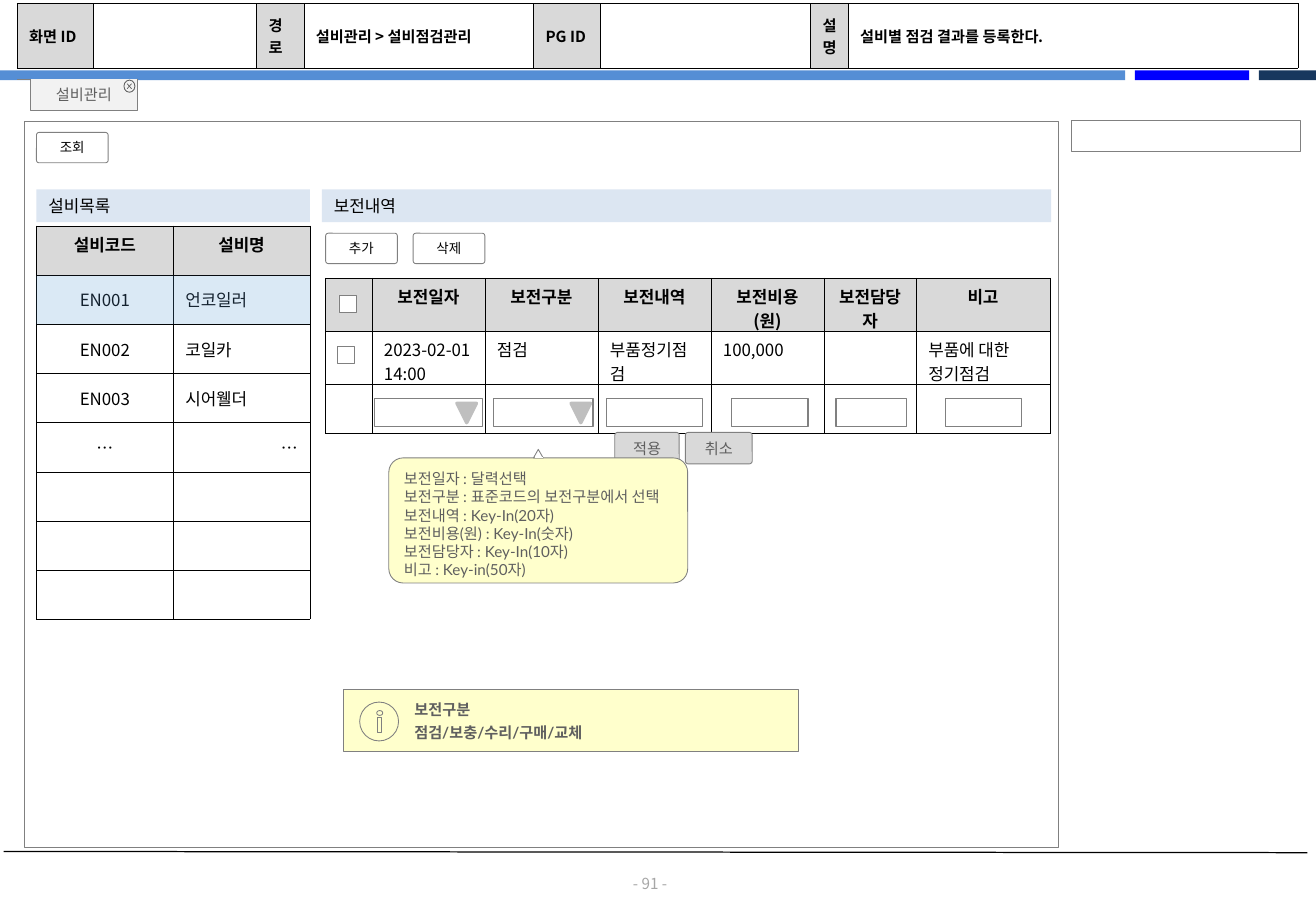
import pptx
import pptx.util
import pptx.oxml
import pptx.oxml.ns
from lxml import etree
from pptx.dml.color import RGBColor
from pptx.enum.shapes import MSO_CONNECTOR, MSO_SHAPE
from pptx.enum.text import MSO_ANCHOR, PP_ALIGN
from pptx.util import Inches, Pt

BLACK, WHITE = RGBColor(0, 0, 0), RGBColor(255, 255, 255)
GRAY, TEXT_GRAY = RGBColor(0x80, 0x80, 0x80), RGBColor(0x5F, 0x5F, 0x5F)
HEAD, TAB = RGBColor(0xD9, 0xD9, 0xD9), RGBColor(0xF2, 0xF2, 0xF2)
ARROW, PAGE = RGBColor(0xBF, 0xBF, 0xBF), RGBColor(0xA6, 0xA6, 0xA6)
SECTION, NOTE = RGBColor(0xDC, 0xE6, 0xF2), RGBColor(255, 255, 0xCC)
SELECTED = RGBColor(0x5B, 0x9B, 0xD5)
KR, LATO, ARIAL = "Noto Sans CJK KR", "Lato", "Arial"
RECT, ROUND, OVAL, TRIANGLE = (MSO_SHAPE.RECTANGLE, MSO_SHAPE.ROUNDED_RECTANGLE,
                               MSO_SHAPE.OVAL, MSO_SHAPE.ISOSCELES_TRIANGLE)
LEFT, CENTER, RIGHT = PP_ALIGN.LEFT, PP_ALIGN.CENTER, PP_ALIGN.RIGHT
TOP, MIDDLE = MSO_ANCHOR.TOP, MSO_ANCHOR.MIDDLE

# Content
BANDS = [(0, 9.26, RGBColor(0x55, 0x8E, 0xD5)), (9.34, 0.94, RGBColor(0, 0, 255)),
         (10.36, 0.47, RGBColor(0x17, 0x37, 0x5E))]
SCREEN_INFO = [["화면 ID", "", "경로", "설비관리 > 설비점검관리", "PG ID", "",
                "설명", "설비별 점검 결과를 등록한다."]]
SCREEN_COLS = [0.63, 1.34, 0.39, 1.89, 0.55, 1.73, 0.31, 3.7]
EQUIPMENT = [["설비코드", "설비명"], ["EN001", "언코일러"], ["EN002", "코일카"],
             ["EN003", "시어웰더"], ["…", "…"], ["", ""], ["", ""], ["", ""]]
MAINTENANCE = [
    ["", "보전일자", "보전구분", "보전내역", "보전비용(원)", "보전담당자", "비고"],
    ["", "2023-02-01 14:00", "점검", "부품정기점검", "100,000", "", "부품에 대한 정기점검"],
    [""] * 7]
MAINTENANCE_COLS = [0.38, 0.93, 0.93, 0.93, 0.93, 0.76, 1.1]
SECTIONS = [("설비목록", 0.3, 2.25), ("보전내역", 2.65, 6)]
BUTTONS = [("조회", 0.3, 1.09), ("추가", 2.68, 1.92), ("삭제", 3.4, 1.92)]
EDIT_BUTTONS = [("적용", 5.06, 0.53), ("취소", 5.64, 0.55)]
CHECKBOXES = [(2.79, 2.43), (2.78, 2.85)]
INPUTS = [(3.08, 0.89), (4.06, 0.82), (4.99, 0.79), (6.02, 0.63), (6.88, 0.58), (7.78, 0.63)]
DROPDOWN_ARROWS = [3.76, 4.7]
INPUT_RULES = ["보전일자 : 달력선택", "보전구분 : 표준코드의 보전구분에서 선택",
               "보전내역 : Key-In(20자)", "보전비용(원) : Key-In(숫자)",
               "보전담당자 : Key-In(10자)", "비고 : Key-in(50자)"]
TYPE_NOTE = ["보전구분", "점검/보충/수리/구매/교체"]

prs = pptx.Presentation()
prs.slide_width, prs.slide_height = Inches(10.83), Inches(7.5)
s = prs.slides.add_slide(prs.slide_layouts[6])


def style_paragraph(p, font, size, color, align=LEFT, bold=False):
    p.alignment = align
    p.font.name, p.font.size, p.font.bold = font, Pt(size), bold
    p.font.color.rgb = color


def style_shape(sp, fill, line, width):
    sp.shadow.inherit = False
    if fill is None:
        sp.fill.background()
    else:
        sp.fill.solid()
        sp.fill.fore_color.rgb = fill
    if line is None:
        sp.line.fill.background()
    else:
        sp.line.color.rgb = line
        sp.line.width = Pt(width)


def add_box(kind, x, y, w, h, fill=None, line=GRAY, width=0.5, round_by=None):
    sp = s.shapes.add_shape(kind, Inches(x), Inches(y), Inches(w), Inches(h))
    style_shape(sp, fill, line, width)
    if round_by is not None:
        sp.adjustments[0] = round_by
    return sp


def put_text(sp, lines, font, size, color, align=CENTER, anchor=MIDDLE,
             insets=(0.1, 0.05, 0.1, 0.05), bold=False, after=0):
    tf = sp.text_frame
    tf.word_wrap = True
    tf.vertical_anchor = anchor
    tf.margin_left, tf.margin_top, tf.margin_right, tf.margin_bottom = map(Inches, insets)
    for i, line in enumerate(lines):
        p = tf.add_paragraph() if i else tf.paragraphs[0]
        p.text = line
        p.space_after = Pt(after)
        style_paragraph(p, font, size, color, align, bold)


def add_line(x1, y1, x2, y2, color, width=0.5):
    c = s.shapes.add_connector(MSO_CONNECTOR.STRAIGHT, Inches(x1), Inches(y1),
                               Inches(x2), Inches(y2))
    c.line.color.rgb = color
    c.line.width = Pt(width)
    etree.SubElement(c._element.spPr, pptx.oxml.ns.qn("a:effectLst"))


def add_borders(cell):
    tc_pr = cell._tc.get_or_add_tcPr()
    for i, side in enumerate(("lnL", "lnR", "lnT", "lnB")):
        tc_pr.insert(i, pptx.oxml.parse_xml(
            f'<a:{side} {pptx.oxml.ns.nsdecls("a")} w="3175"><a:solidFill>'
            f'<a:srgbClr val="{BLACK}"/></a:solidFill></a:{side}>'))


def add_grid(x, y, cols, row_h, rows, size, look):
    """look(row, col) gives fill, bold, alignment and anchor of a cell."""
    table = s.shapes.add_table(len(rows), len(cols), Inches(x), Inches(y),
                               Inches(sum(cols)), Inches(row_h * len(rows))).table
    table.first_row = table.horz_banding = False
    for c, w in enumerate(cols):
        table.columns[c].width = Inches(w)
    for r, row in enumerate(rows):
        table.rows[r].height = Inches(row_h)
        for c, text in enumerate(row):
            cell = table.cell(r, c)
            fill, bold, align, cell.vertical_anchor = look(r, c)
            if fill is None:
                cell.fill.background()
            else:
                cell.fill.solid()
                cell.fill.fore_color.rgb = fill
            add_borders(cell)
            p = cell.text_frame.paragraphs[0]
            p.text = text
            style_paragraph(p, KR, size, BLACK, align, bold)


def screen_look(r, c):
    return (WHITE if c % 2 else HEAD), True, LEFT, MIDDLE


def equipment_look(r, c):
    if r == 0:
        return HEAD, True, CENTER, TOP
    align = CENTER if c == 0 else RIGHT if EQUIPMENT[r][c] == "…" else LEFT
    return None, False, align, MIDDLE


def maintenance_look(r, c):
    return (HEAD, True, CENTER, TOP) if r == 0 else (None, False, LEFT, TOP)


# Page frame: colour bands, footer rule, page number
for x, w, color in BANDS:
    add_box(RECT, x, 0.58, w, 0.08, color, None)
add_line(0.03, 7.01, 10.76, 7.02, BLACK, 0.75)
number = s.shapes.add_textbox(Inches(5.05), Inches(7.2), Inches(0.6), Inches(0.15))
put_text(number, ["- 91 -"], KR, 9, PAGE, insets=(0, 0, 0, 0))

# Screen area and header table
add_box(RECT, 0.2, 1, 8.51, 5.98)
add_grid(0.14, 0.03, SCREEN_COLS, 0.53, SCREEN_INFO, 9, screen_look)

# Screen tab with its close mark
add_line(0.25, 0.65, 0.14, 0.65, GRAY)
outline = s.shapes.build_freeform(Inches(1.13), Inches(0.65))
outline.add_line_segments([(Inches(x), Inches(y)) for x, y in
                           ((1.13, 0.91), (0.25, 0.91), (0.25, 0.65))], close=False)
tab = outline.convert_to_shape()
style_shape(tab, TAB, GRAY, 0.5)
put_text(tab, ["설비관리"], LATO, 9, TEXT_GRAY, insets=(0.05,) * 4)
add_box(OVAL, 1.02, 0.66, 0.09, 0.1, None, TEXT_GRAY)
add_box(MSO_SHAPE.MATH_MULTIPLY, 1.03, 0.67, 0.07, 0.08, TEXT_GRAY, None, round_by=0.08)
add_box(RECT, 8.82, 0.99, 1.88, 0.26, WHITE)

# Section bars and tables
add_grid(0.3, 1.86, [1.125] * 2, 0.405, EQUIPMENT, 10, equipment_look)
for name, x, w in SECTIONS:
    put_text(add_box(RECT, x, 1.56, w, 0.27, SECTION, None), [name], ARIAL, 10, BLACK,
             LEFT, TOP)
add_grid(2.68, 2.29, MAINTENANCE_COLS, 0.41, MAINTENANCE, 10, maintenance_look)
selection = add_box(RECT, 0.3, 2.27, 2.25, 0.4, SELECTED, None)
color = selection.fill._xPr.find(".//" + pptx.oxml.ns.qn("a:srgbClr"))
etree.SubElement(color, pptx.oxml.ns.qn("a:alpha"), val="22000")

# Buttons, check boxes and input row
for name, x, y in BUTTONS:
    put_text(add_box(ROUND, x, y, 0.59, 0.25, round_by=0.088), [name], ARIAL, 8, BLACK)
for x, y in CHECKBOXES:
    add_box(RECT, x, y, 0.14, 0.14, WHITE)
for x, w in INPUTS:
    add_box(RECT, x, 3.28, w, 0.23, WHITE, width=0.75)
for x in DROPDOWN_ARROWS:
    add_box(TRIANGLE, x, 3.32, 0.16, 0.16, ARROW, ARROW, 2).rotation = 180
for name, x, w in EDIT_BUTTONS:
    put_text(add_box(ROUND, x, 3.56, w, 0.26, HEAD, round_by=0.088), [name],
             LATO, 9, TEXT_GRAY)

# Input rules callout
put_text(add_box(ROUND, 3.2, 3.77, 2.46, 1.03, NOTE, round_by=0.114), INPUT_RULES,
         LATO, 9, TEXT_GRAY, LEFT, TOP, (0.09, 0.06, 0.05, 0.03))
add_box(TRIANGLE, 4.39, 3.7, 0.08, 0.07, WHITE)
add_line(4.47, 3.77, 4.4, 3.77, WHITE)

# Maintenance type note with info icon
put_text(add_box(RECT, 2.83, 5.68, 3.74, 0.51, NOTE), TYPE_NOTE, LATO, 9, TEXT_GRAY,
         LEFT, insets=(0.58, 0.05, 0.1, 0.05), bold=True, after=3)
add_box(OVAL, 2.96, 5.78, 0.32, 0.32)
add_box(OVAL, 3.1, 5.85, 0.05, 0.04)
add_box(RECT, 3.11, 5.91, 0.03, 0.12)

prs.save("out.pptx")
